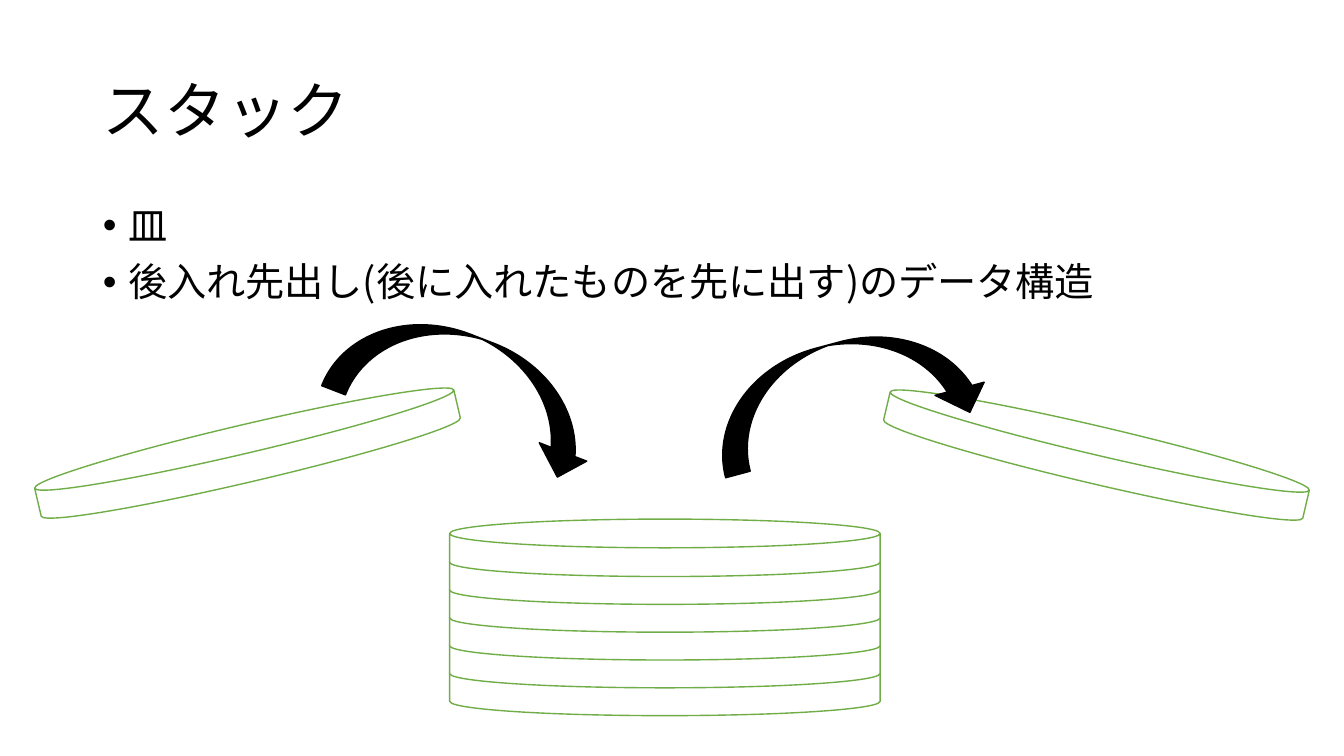
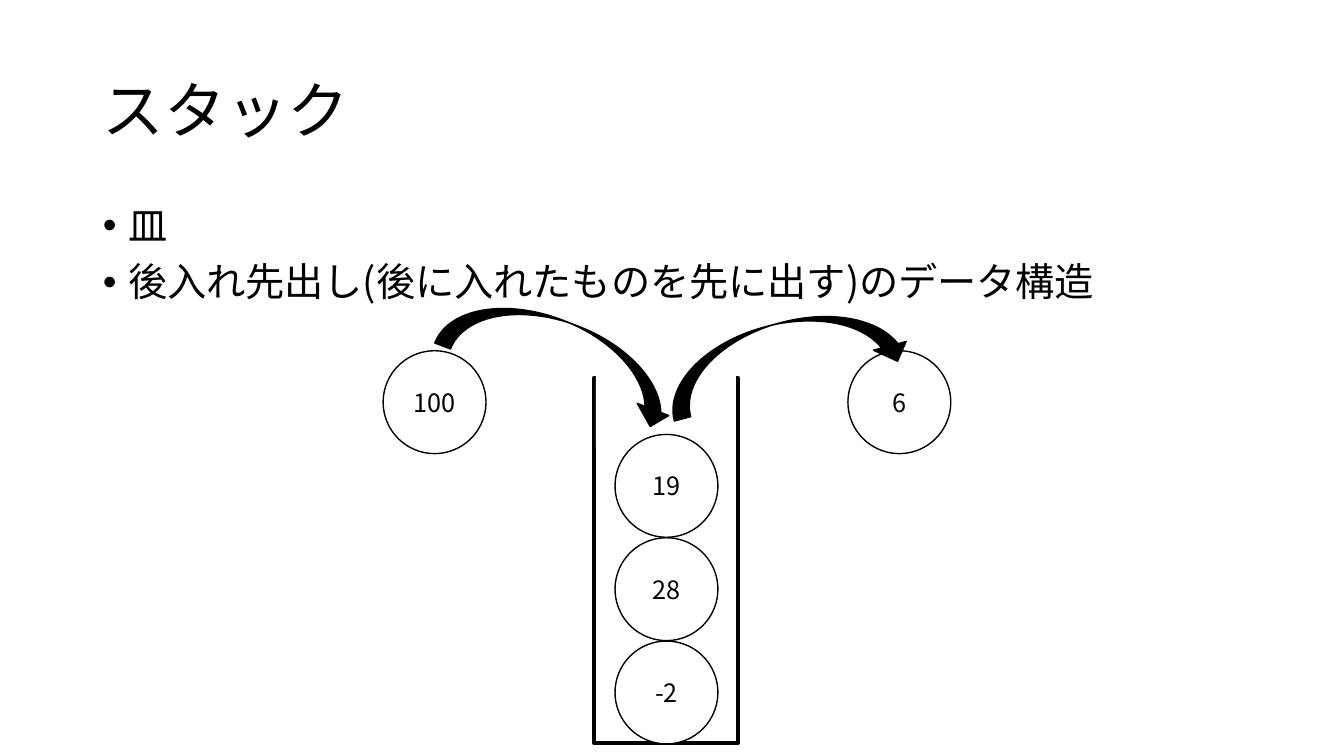
from lxml import etree
from pptx import Presentation
from pptx.dml.color import RGBColor
from pptx.enum.shapes import MSO_SHAPE
from pptx.enum.text import MSO_ANCHOR, MSO_AUTO_SIZE, PP_ALIGN
from pptx.oxml.ns import qn
from pptx.util import Emu, Pt

CAN = MSO_SHAPE.CAN
CURVED_ARROW = MSO_SHAPE.CURVED_DOWN_ARROW
OVAL = MSO_SHAPE.OVAL
RECTANGLE = MSO_SHAPE.RECTANGLE
LEFT, CENTER = PP_ALIGN.LEFT, PP_ALIGN.CENTER
TOP, MIDDLE = MSO_ANCHOR.TOP, MSO_ANCHOR.MIDDLE
NO_AUTOFIT = MSO_AUTO_SIZE.NONE

EMU_PER_PX = 9144
TITLE = "スタック"
POINTS = ["皿", "後入れ先出し(後に入れたものを先に出す)のデータ構造"]


def px(length):
    return Emu(round(length * EMU_PER_PX))


def color(code):
    return RGBColor.from_string(code)


class StackDeck:
    FONT = "Noto Sans CJK JP"
    INK = "000000"
    PAPER = "FFFFFF"
    PLATE = "70AD47"

    def __init__(self):
        self.deck = Presentation()
        self.deck.slide_width = px(1333)
        self.deck.slide_height = px(750)
        self.page = None

    def add_page(self, title, points):
        self.page = self.deck.slides.add_slide(self.deck.slide_layouts[1])
        heading, body = self.page.placeholders
        self.place(heading, 92, 40, 1150, 145)
        self.set_text(heading, [title], 44, LEFT, MIDDLE)
        heading.text_frame.paragraphs[0].line_spacing = 0.9
        self.place(body, 92, 200, 1150, 476)
        self.set_text(body, points, 28, LEFT, TOP)
        for index, para in enumerate(body.text_frame.paragraphs):
            para.line_spacing = 0.9
            para.space_before = Pt(10 if index else 0)
            self.add_bullet(para)

    def place(self, box, left, top, width, height):
        box.left, box.top = px(left), px(top)
        box.width, box.height = px(width), px(height)

    def set_text(self, box, lines, size, align, anchor):
        frame = box.text_frame
        frame.text = "\n".join(lines)
        frame.word_wrap = True
        frame.auto_size = NO_AUTOFIT
        frame.vertical_anchor = anchor
        for para in frame.paragraphs:
            para.alignment = align
            for span in para.runs:
                span.font.size = Pt(size)
                span.font.name = self.FONT
                span.font.color.rgb = color(self.INK)
                properties = span._r.get_or_add_rPr()
                etree.SubElement(properties, qn("a:ea"), typeface=self.FONT)

    def add_bullet(self, para):
        properties = para._p.get_or_add_pPr()
        properties.set("marL", str(px(25)))
        properties.set("indent", str(px(-25)))
        etree.SubElement(properties, qn("a:buFont"), typeface="Arial")
        etree.SubElement(properties, qn("a:buChar"), char="•")

    def add_figure(self, kind, left, top, width, height, fill, line=None, weight=1):
        figure = self.page.shapes.add_shape(
            kind, px(left), px(top), px(width), px(height)
        )
        figure.shadow.inherit = False
        figure.fill.solid()
        figure.fill.fore_color.rgb = color(fill)
        if line:
            figure.line.color.rgb = color(line)
            figure.line.width = Pt(weight)
        else:
            figure.line.fill.background()
        return figure

    def add_plate(self, left, top, rotation=0):
        plate = self.add_figure(CAN, left, top, 427, 57, self.PAPER, self.PLATE)
        plate.adjustments[0] = 0.5
        plate.rotation = rotation

    def add_arrow(self, left, top, width, height, rotation):
        arrow = self.add_figure(
            CURVED_ARROW, left, top, width, height, self.INK, self.INK
        )
        arrow.rotation = rotation

    def add_ball(self, left, top, label):
        ball = self.add_figure(OVAL, left, top, 102, 102, self.PAPER, self.INK)
        self.set_text(ball, [label], 18, CENTER, MIDDLE)

    def add_container(self):
        self.add_figure(RECTANGLE, 589, 375, 143, 362, self.PAPER, self.INK, 3)
        self.add_figure(RECTANGLE, 591, 317, 139, 127, self.PAPER)

    def save(self):
        self.deck.save("out.pptx")


def add_plates_page(slides):
    slides.add_page(TITLE, POINTS)
    for level in range(6):
        slides.add_plate(446, 653 - 27.6 * level)
    slides.add_plate(874, 423, 13.2)
    slides.add_plate(32, 421, -13.2)
    slides.add_arrow(328, 335, 276, 101, 21.2)
    slides.add_arrow(702, 339, 276, 101, -15)


def add_numbers_page(slides):
    slides.add_page(TITLE, POINTS)
    slides.add_container()
    for level, label in enumerate(["-2", "28", "19"]):
        slides.add_ball(610, 636 - 102.5 * level, label)
    slides.add_ball(380, 348, "100")
    slides.add_ball(841, 348, "6")
    slides.add_arrow(435, 320, 246, 67, 21.2)
    slides.add_arrow(656, 320, 246, 67, -15)


def main():
    slides = StackDeck()
    add_plates_page(slides)
    add_numbers_page(slides)
    slides.save()


if __name__ == "__main__":
    main()
